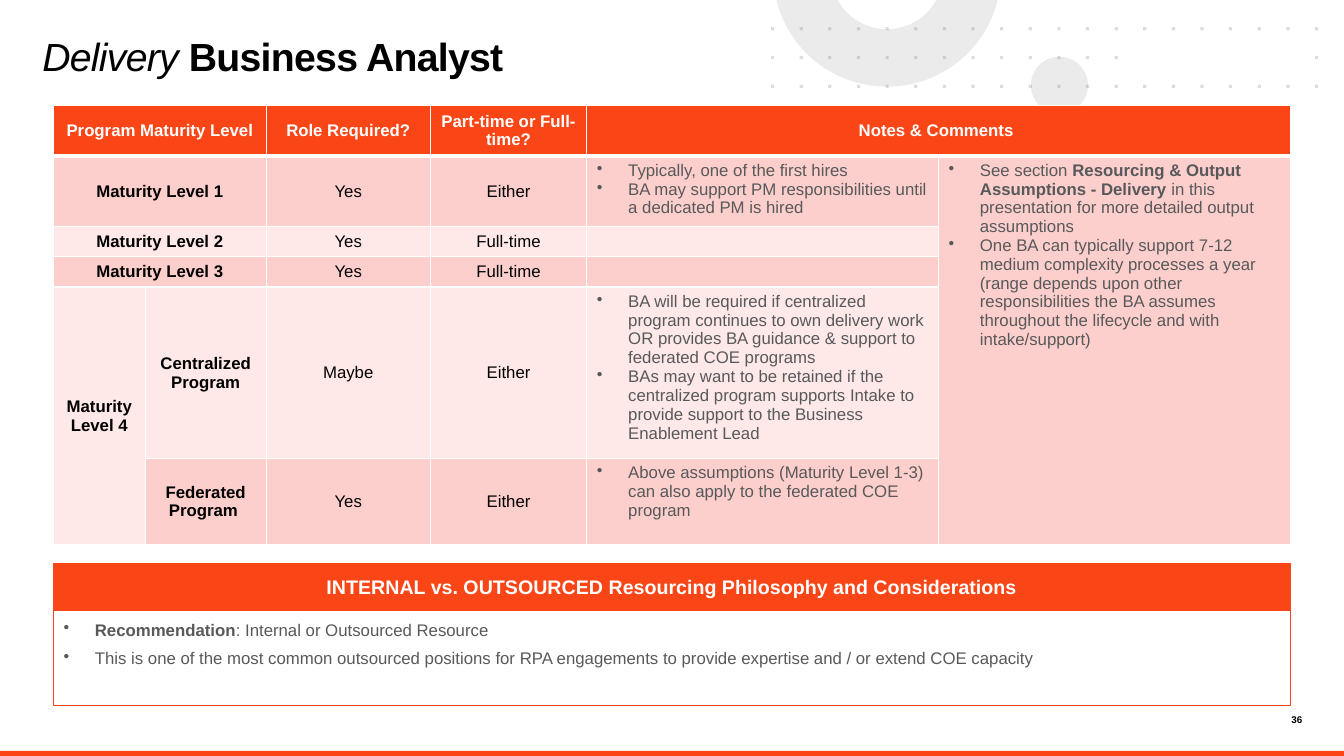
from dataclasses import dataclass
from math import asin, cos, pi, sin
from typing import Optional

from lxml.etree import SubElement
from pptx import Presentation
from pptx.dml.color import RGBColor
from pptx.enum.shapes import MSO_SHAPE as Preset
from pptx.enum.text import MSO_ANCHOR as Anchor, PP_ALIGN as Align
from pptx.oxml.ns import qn
from pptx.util import Inches, Pt

COLORS = {
    "orange": "FA4616", "pink": "FDCFCC", "blush": "FEE9E8", "white": "FFFFFF",
    "black": "000000", "slate": "58595B", "silver": "D9D9D9",
}
WIDTH, HEIGHT = Inches(13.333), Inches(7.5)
MARGIN, CONTENT = 3.98, 92.03  # shares of the slide width, in percent


@dataclass(frozen=True)
class Box:
    """Left, top, width and height as percentages of the slide."""
    left: float
    top: float
    width: float
    height: float

    def emu(self) -> tuple:
        return across(self.left), down(self.top), across(self.width), down(self.height)


@dataclass(frozen=True)
class Span:
    text: str
    bold: bool = False
    italic: bool = False


@dataclass(frozen=True)
class Style:
    color: str
    size: float = 12
    align: Align = Align.LEFT
    bullet: bool = False
    after: float = 0
    line: Optional[float] = None
    tracking: Optional[float] = None


@dataclass(frozen=True)
class Entry:
    """A table cell: position, merged rows and columns, and paragraphs."""
    row: int
    col: int
    paragraphs: list
    style: Style
    rows: int = 1
    cols: int = 1


def across(percent: float) -> int:
    return round(WIDTH * percent / 100)


def down(percent: float) -> int:
    return round(HEIGHT * percent / 100)


def rgb(name: str) -> RGBColor:
    return RGBColor.from_string(COLORS[name])


def paint(target, color: str, alpha: Optional[int] = None) -> None:
    target.fill.solid()
    target.fill.fore_color.rgb = rgb(color)
    if alpha is not None:
        tint = next(target._element.spPr.iter(qn("a:srgbClr")))
        SubElement(tint, qn("a:alpha"), val=str(alpha * 1000))


def finish(shape, color: str, alpha: Optional[int] = None, outline: Optional[str] = None) -> None:
    shape.shadow.inherit = False
    paint(shape, color, alpha)
    if outline:
        shape.line.color.rgb = rgb(outline)
        shape.line.width = Pt(0.75)
    else:
        shape.line.fill.background()


def write(frame, paragraphs: list, style: Style) -> None:
    for index, spans in enumerate(paragraphs):
        paragraph = frame.add_paragraph() if index else frame.paragraphs[0]
        if style.bullet:
            properties = paragraph._p.get_or_add_pPr()
            properties.set("marL", str(across(2.33)))
            properties.set("indent", str(-across(2.33)))
            SubElement(properties, qn("a:buChar"), char="•")
        paragraph.alignment = style.align
        paragraph.space_after = Pt(style.after)
        if style.line:
            paragraph.line_spacing = style.line
        for span in spans:
            run = paragraph.add_run()
            run.text = span.text
            run.font.name, run.font.size = "Arial", Pt(style.size)
            run.font.bold, run.font.italic = span.bold, span.italic
            run.font.color.rgb = rgb(style.color)
            if style.tracking:
                run._r.get_or_add_rPr().set("spc", str(round(style.tracking * 100)))


def add_text(shapes, box: Box, spans: list, style: Style) -> None:
    frame = shapes.add_textbox(*box.emu()).text_frame
    frame.word_wrap = True
    frame.margin_left = frame.margin_right = frame.margin_top = frame.margin_bottom = 0
    write(frame, [spans], style)


def add_panel(shapes, box: Box, fill: str, anchor: Anchor, paragraphs: list, style: Style) -> None:
    panel = shapes.add_shape(Preset.RECTANGLE, *box.emu())
    finish(panel, fill, outline="orange")
    frame = panel.text_frame
    frame.word_wrap, frame.vertical_anchor = True, anchor
    frame.margin_left = frame.margin_right = across(0.75)
    frame.margin_top = frame.margin_bottom = across(0.75)
    write(frame, paragraphs, style)


def add_half_ring(shapes) -> None:
    """Draw the part of a ring that hangs below the slide's top edge."""
    center_x, center_y, steps = across(66), down(-3.6), 60
    outline = []
    for radius, direction in ((across(8.48), 1), (across(4.2), -1)):
        start = asin(-center_y / radius)
        angles = [start + (pi - 2 * start) * step / steps for step in range(steps + 1)]
        outline += [(center_x + radius * cos(angle), center_y + radius * sin(angle))
                    for angle in angles[::direction]]
    builder = shapes.build_freeform(*outline[0])
    builder.add_line_segments(outline[1:], close=True)
    finish(builder.convert_to_shape(), "silver", 50)


def add_dots(shapes, columns: range) -> None:
    """Draw one block of the dot grid; its middle row has a gap."""
    size, builder = across(0.24), None
    for row in (1, 2, 3):
        for column in columns:
            if row == 2 and 13 <= column <= 18:
                continue
            x = across(57.49 + 2.13 * column) - size // 2
            y = down(3.8 * row) - size // 2
            if builder is None:
                builder = shapes.build_freeform(x, y)
            else:
                builder.move_to(x, y)
            builder.add_line_segments([(x + size, y), (x + size, y + size), (x, y + size)], close=True)
    finish(builder.convert_to_shape(), "slate", 20)


def add_borders(cell, row: int) -> None:
    properties = cell._tc.get_or_add_tcPr()
    widths = {"L": 1, "R": 1, "T": 3 if row == 1 else 1, "B": 3 if row == 0 else 1}
    for index, (side, width) in enumerate(widths.items()):
        border = SubElement(properties, qn(f"a:ln{side}"), w=str(Pt(width)))
        SubElement(SubElement(border, qn("a:solidFill")), qn("a:srgbClr"), val=COLORS["white"])
        properties.insert(index, border)


def add_maturity_table(shapes, entries: list) -> None:
    columns = [6.82, 9.02, 12.2, 11.65, 26.17, 26.17]
    rows = [6.3, 8.75, 3.85, 3.85, 21.2, 11.4]
    box = Box(MARGIN, 13.95, CONTENT, sum(rows))
    table = shapes.add_table(len(rows), len(columns), *box.emu()).table
    table.first_row = table.horz_banding = False
    for column, share in zip(table.columns, columns):
        column.width = across(share)
    for index, share in enumerate(rows):
        table.rows[index].height = down(share)
        fill = "orange" if index == 0 else "pink" if index % 2 else "blush"
        for cell in table.rows[index].cells:
            paint(cell, fill)
            add_borders(cell, index)
            SubElement(cell.text_frame.paragraphs[0]._p, qn("a:endParaRPr"), sz="1200")
    for entry in entries:
        cell = table.cell(entry.row, entry.col)
        if entry.rows * entry.cols > 1:
            cell.merge(table.cell(entry.row + entry.rows - 1, entry.col + entry.cols - 1))
        cell.vertical_anchor = Anchor.TOP if entry.style.bullet else Anchor.MIDDLE
        write(cell.text_frame, entry.paragraphs, entry.style)


HEADING = Style("white", align=Align.CENTER)
LABEL = Style("black", align=Align.CENTER)
NOTES = Style("slate", bullet=True)


def bold(text: str) -> list:
    return [[Span(text, bold=True)]]


def plain(*texts: str) -> list:
    return [[Span(text)] for text in texts]


ENTRIES = [
    Entry(0, 0, bold("Program Maturity Level"), HEADING, cols=2),
    Entry(0, 2, bold("Role Required?"), HEADING),
    Entry(0, 3, bold("Part-time or Full-time?"), HEADING),
    Entry(0, 4, bold("Notes & Comments "), HEADING, cols=2),
    *[Entry(level, 0, bold(f"Maturity Level {level}"), LABEL, cols=2) for level in (1, 2, 3)],
    Entry(4, 0, bold("Maturity Level 4"), LABEL, rows=2),
    Entry(4, 1, bold("Centralized Program"), LABEL),
    Entry(5, 1, bold("Federated Program "), LABEL),
    *[Entry(row, 2, plain(need), LABEL)
      for row, need in enumerate(["Yes", "Yes", "Yes", "Maybe", "Yes"], 1)],
    *[Entry(row, 3, plain(time), LABEL)
      for row, time in enumerate(["Either", "Full-time", "Full-time", "Either", "Either"], 1)],
    Entry(1, 4, plain("Typically, one of the first hires",
                      "BA may support PM responsibilities until a dedicated PM is hired"), NOTES),
    Entry(4, 4, plain("BA will be required if centralized program continues to own delivery work OR "
                      "provides BA guidance & support to federated COE programs",
                      "BAs may want to be retained if the centralized program supports Intake to "
                      "provide support to the Business Enablement Lead"), NOTES),
    Entry(5, 4, plain("Above assumptions (Maturity Level 1-3) can also apply to the federated COE program"), NOTES),
    Entry(1, 5, [[Span("See section "), Span("Resourcing & Output Assumptions - Delivery ", bold=True),
                  Span("in this presentation for more detailed output assumptions")],
                 [Span("One BA can typically support 7-12 medium complexity processes a year (range depends "
                       "upon other responsibilities the BA assumes throughout the lifecycle and with "
                       "intake/support)")]], NOTES, rows=5),
]
RECOMMENDATION = [
    [Span("Recommendation", bold=True), Span(": Internal or Outsourced Resource")],
    [Span("This is one of the most common outsourced positions for RPA engagements to provide "
          "expertise and / or extend COE capacity")],
]


def main() -> None:
    deck = Presentation()
    deck.slide_width, deck.slide_height = WIDTH, HEIGHT
    shapes = deck.slides.add_slide(deck.slide_layouts[6]).shapes
    add_text(shapes, Box(94, 94.4, 2.9, 1.73), [Span("36", bold=True)], Style("black", 7, Align.RIGHT))
    finish(shapes.add_shape(Preset.RECTANGLE, *Box(0, 99.33, 100, 0.67).emu()), "orange")
    finish(shapes.add_shape(Preset.OVAL, across(76.7), down(7.5), across(4.25), across(4.25)), "silver", 50)
    add_half_ring(shapes)
    for columns in (range(6), range(6, 12), range(12, 14), range(14, 20)):
        add_dots(shapes, columns)
    add_text(shapes, Box(3.15, 5.2, 54.2, 10),
             [Span("Delivery ", italic=True), Span("Business Analyst", bold=True)],
             Style("black", 28, line=0.85, tracking=-0.5))
    add_maturity_table(shapes, ENTRIES)
    add_panel(shapes, Box(MARGIN, 80.6, CONTENT, 12.75), "white", Anchor.TOP, RECOMMENDATION,
              Style("slate", bullet=True, after=6))
    add_panel(shapes, Box(MARGIN, 74.5, CONTENT, 6.2), "orange", Anchor.MIDDLE,
              bold("INTERNAL vs. OUTSOURCED Resourcing Philosophy and Considerations"),
              Style("white", 14, Align.CENTER, after=6))
    deck.save("out.pptx")


if __name__ == "__main__":
    main()
